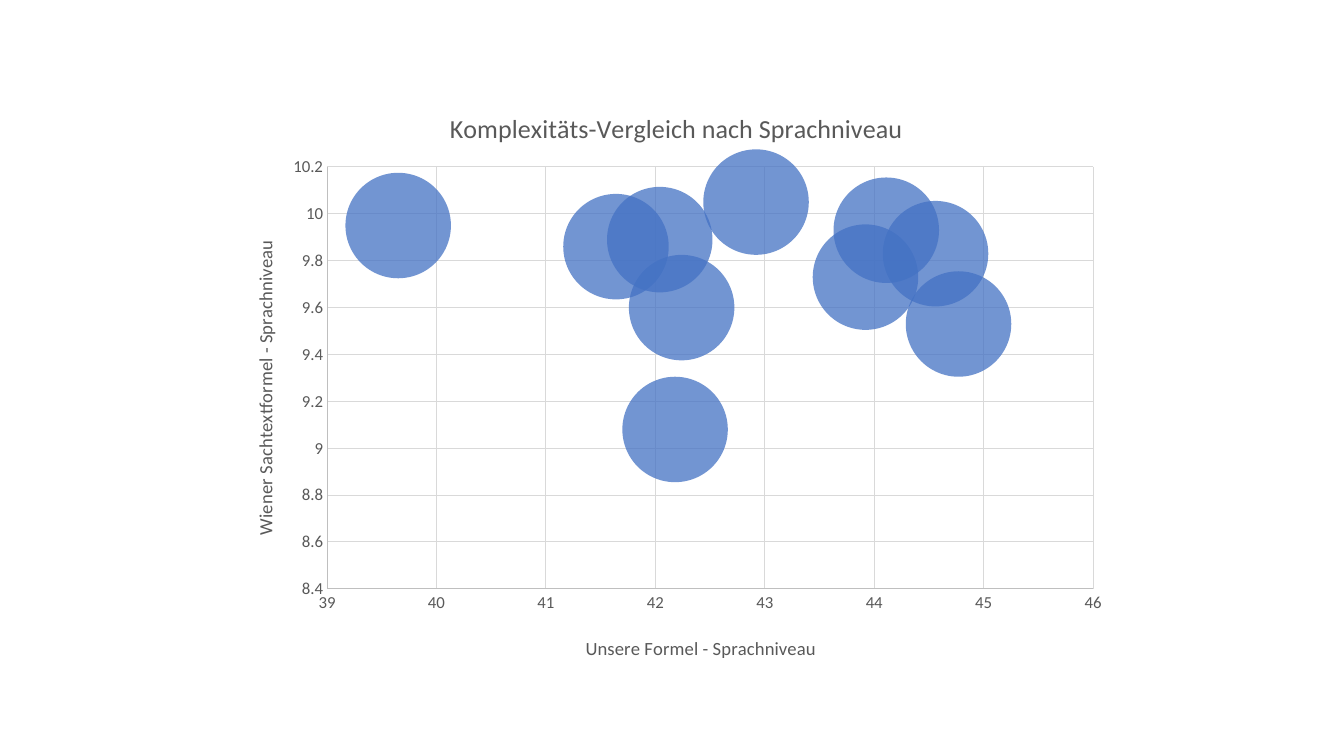
"""Build a slide with a bubble chart comparing two text complexity formulas."""
from lxml import etree
from pptx import Presentation
from pptx import util as u
from pptx.chart.data import BubbleChartData
from pptx.dml.color import RGBColor
from pptx.enum import chart as charts
from pptx.oxml import parse_xml
from pptx.oxml.ns import nsdecls, qn

PIXEL = 914400 / 100.8
CHART_LEFT, CHART_TOP, CHART_WIDTH, CHART_HEIGHT = 224, 80, 896, 598
TITLE = "Komplexitäts-Vergleich nach Sprachniveau"
BUBBLE_SIZE = 5
POINTS = [
    (42.18, 9.08), (44.77, 9.53), (42.24, 9.6), (43.92, 9.73), (44.56, 9.83),
    (41.64, 9.86), (42.04, 9.89), (44.11, 9.93), (39.65, 9.95), (42.92, 10.05),
]


def color(value):
    return RGBColor.from_string(value)


def place(element, left, top, width=None, height=None):
    """Pin a chart part at slide pixels; a size marks the inner plot area."""
    settings = [("xMode", "edge"), ("yMode", "edge"),
                ("x", (left - CHART_LEFT) / CHART_WIDTH),
                ("y", (top - CHART_TOP) / CHART_HEIGHT)]
    if width:
        settings.insert(0, ("layoutTarget", "inner"))
        settings += [("w", width / CHART_WIDTH), ("h", height / CHART_HEIGHT)]
    for old in element.findall(qn("c:layout")):
        element.remove(old)
    layout = parse_xml(f"<c:layout {nsdecls('c')}><c:manualLayout/></c:layout>")
    for name, value in settings:
        etree.SubElement(layout[0], qn(f"c:{name}")).set("val", str(value))
    element.insert(0 if width else 1, layout)


presentation = Presentation()
presentation.slide_width = u.Inches(13.33)
presentation.slide_height = u.Inches(7.5)
slide = presentation.slides.add_slide(presentation.slide_layouts[6])

data = BubbleChartData(number_format="General")
bubbles = data.add_series(TITLE)
for x, y in POINTS:
    bubbles.add_data_point(x, y, BUBBLE_SIZE)
frame = [u.Emu(round(value * PIXEL))
         for value in (CHART_LEFT, CHART_TOP, CHART_WIDTH, CHART_HEIGHT)]
chart = slide.shapes.add_chart(charts.XL_CHART_TYPE.BUBBLE, *frame, data).chart
chart.has_legend = False
chart.has_title = True
chart.font.name = "Calibri"
chart.font.size = u.Pt(12)
chart.font.color.rgb = color("595959")

plot = chart.plots[0]
plot.bubble_scale = 100
series_format = plot.series[0].format
series_format.fill.solid()
series_format.fill.fore_color.rgb = color("4472C4")
series_format.line.fill.background()
solid = plot.series[0]._element.find(f"{qn('c:spPr')}/{qn('a:solidFill')}")
etree.SubElement(solid[0], qn("a:alpha")).set("val", "75000")
place(chart._chartSpace.chart.plotArea, 327, 167, 766, 422)

axes = [
    (chart.category_axis, 39, 46, 1),
    (chart.value_axis, 8.4, 10.2, 0.2),
]
for axis, low, high, step in axes:
    axis.minimum_scale, axis.maximum_scale, axis.major_unit = low, high, step
    axis.has_major_gridlines = True
    axis.major_tick_mark = axis.minor_tick_mark = charts.XL_TICK_MARK.NONE
    axis.crosses = charts.XL_AXIS_CROSSES.MINIMUM
    axis.tick_labels.number_format = "General"
    axis.tick_labels.number_format_is_linked = False
    for line, shade in ((axis.format.line, "BFBFBF"),
                        (axis.major_gridlines.format.line, "D9D9D9")):
        line.color.rgb = color(shade)
        line.width = u.Pt(0.75)

titles = [
    (chart.chart_title, TITLE, 18.6, 445, 105),
    (chart.category_axis.axis_title, "Unsere Formel - Sprachniveau", 13.3, 582, 632),
    (chart.value_axis.axis_title, "Wiener Sachtextformel - Sprachniveau", 13.3, 249, 237),
]
for title, wording, size, left, top in titles:
    title.text_frame.text = wording
    font = title.text_frame.paragraphs[0].runs[0].font
    font.name, font.size, font.bold = "Calibri", u.Pt(size), False
    font.color.rgb = color("595959")
    place(title._element, left, top)
body = chart.value_axis.axis_title.text_frame._txBody.find(qn("a:bodyPr"))
body.set("rot", "-5400000")
body.set("vert", "horz")

presentation.save("out.pptx")
